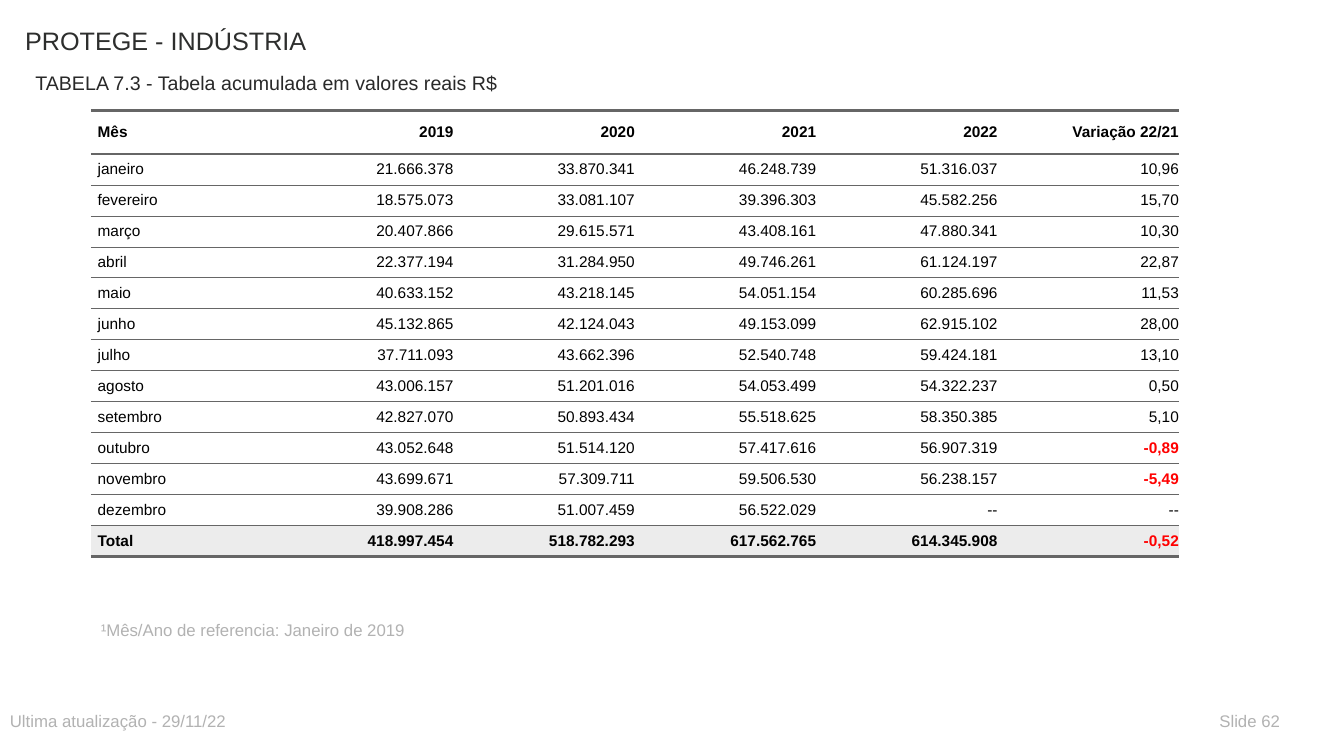
from dataclasses import dataclass

from lxml.etree import SubElement
from pptx import Presentation
from pptx.dml.color import RGBColor
from pptx.enum.text import MSO_ANCHOR as Anchor, MSO_AUTO_SIZE as AutoSize, PP_ALIGN as Align
from pptx.oxml.ns import qn
from pptx.util import Cm, Pt


@dataclass(frozen=True)
class Theme:
    font: str = "Arial"
    heading: str = "2D2E2D"
    caption: str = "292929"
    muted: str = "B2B2B2"
    body: str = "000000"
    negative: str = "FF0000"
    rule: str = "666666"
    background: str = "FFFFFF"
    total_fill: str = "ECECEC"
    heading_size: int = 18
    caption_size: int = 14
    note_size: int = 12
    table_size: int = 11
    thick: float = 2
    thin: float = 0.5


HEADER = ["Mês", "2019", "2020", "2021", "2022", "Variação 22/21"]
MONTHS = [
    ["janeiro", "21.666.378", "33.870.341", "46.248.739", "51.316.037", "10,96"],
    ["fevereiro", "18.575.073", "33.081.107", "39.396.303", "45.582.256", "15,70"],
    ["março", "20.407.866", "29.615.571", "43.408.161", "47.880.341", "10,30"],
    ["abril", "22.377.194", "31.284.950", "49.746.261", "61.124.197", "22,87"],
    ["maio", "40.633.152", "43.218.145", "54.051.154", "60.285.696", "11,53"],
    ["junho", "45.132.865", "42.124.043", "49.153.099", "62.915.102", "28,00"],
    ["julho", "37.711.093", "43.662.396", "52.540.748", "59.424.181", "13,10"],
    ["agosto", "43.006.157", "51.201.016", "54.053.499", "54.322.237", "0,50"],
    ["setembro", "42.827.070", "50.893.434", "55.518.625", "58.350.385", "5,10"],
    ["outubro", "43.052.648", "51.514.120", "57.417.616", "56.907.319", "-0,89"],
    ["novembro", "43.699.671", "57.309.711", "59.506.530", "56.238.157", "-5,49"],
    ["dezembro", "39.908.286", "51.007.459", "56.522.029", "--", "--"],
]
TOTAL = ["Total", "418.997.454", "518.782.293", "617.562.765", "614.345.908", "-0,52"]


def is_negative(value):
    return value.startswith("-") and value != "--"


class SlideBuilder:
    def __init__(self, slide, theme):
        self.slide = slide
        self.theme = theme

    def add_run(self, paragraph, text, size, color, bold=False):
        run = paragraph.add_run()
        run.text = text
        run.font.name = self.theme.font
        run.font.size = Pt(size)
        run.font.bold = bold
        run.font.color.rgb = RGBColor.from_string(color)

    def fill_frame(self, frame, text, size, color):
        frame.word_wrap = True
        frame.auto_size = AutoSize.NONE
        frame.vertical_anchor = Anchor.TOP
        paragraph = frame.paragraphs[0]
        paragraph.alignment = Align.LEFT
        self.add_run(paragraph, text, size, color)

    def title(self, text, left, top, width, height):
        heading = self.slide.shapes.title
        heading.left, heading.top = Cm(left), Cm(top)
        heading.width, heading.height = Cm(width), Cm(height)
        self.fill_frame(heading.text_frame, text, self.theme.heading_size, self.theme.heading)

    def label(self, text, left, top, width, size, color):
        box = self.slide.shapes.add_textbox(Cm(left), Cm(top), Cm(width), Cm(0.76))
        self.fill_frame(box.text_frame, text, size, color)

    def cell_borders(self, cell, top, bottom):
        """Draw horizontal rules of the given point widths and no vertical ones."""
        properties = cell._tc.get_or_add_tcPr()
        for side, width in (("L", 0), ("R", 0), ("T", top), ("B", bottom)):
            line = SubElement(properties, qn(f"a:ln{side}"), w=str(Pt(width)))
            if width:
                fill = SubElement(line, qn("a:solidFill"))
                SubElement(fill, qn("a:srgbClr"), val=self.theme.rule)
            else:
                SubElement(line, qn("a:noFill"))

    def cell(self, cell, text, is_label, bold, fill, rules):
        theme = self.theme
        self.cell_borders(cell, *rules)
        cell.fill.solid()
        cell.fill.fore_color.rgb = RGBColor.from_string(fill)
        cell.vertical_anchor = Anchor.MIDDLE
        cell.margin_left = Cm(0.17 if is_label else 0)
        cell.margin_right = Cm(0)
        cell.margin_top = cell.margin_bottom = Cm(0.17)
        paragraph = cell.text_frame.paragraphs[0]
        paragraph.alignment = Align.LEFT if is_label else Align.RIGHT
        negative = is_negative(text)
        color = theme.negative if negative else theme.body
        self.add_run(paragraph, text, theme.table_size, color, bold or negative)

    def table(self, rows, left, top, column_width, header_height, row_height):
        """Build a ruled table whose first row is the header and last the total."""
        theme = self.theme
        last = len(rows) - 1
        columns = len(rows[0])
        table = self.slide.shapes.add_table(
            len(rows), columns, Cm(left), Cm(top), Cm(column_width * columns),
            Cm(header_height + row_height * last)).table
        table.first_row = table.horz_banding = False
        for column in table.columns:
            column.width = Cm(column_width)
        rules = [theme.thick] * 2 + [theme.thin] * (last - 1) + [theme.thick]
        for r, values in enumerate(rows):
            table.rows[r].height = Cm(row_height if r else header_height)
            fill = theme.total_fill if r == last else theme.background
            for c, value in enumerate(values):
                self.cell(table.cell(r, c), value, c == 0, r in (0, last), fill, rules[r:r + 2])


def main():
    presentation = Presentation()
    presentation.slide_width, presentation.slide_height = Cm(33.87), Cm(19.05)
    theme = Theme()
    title_only = presentation.slide_layouts[5]
    page = SlideBuilder(presentation.slides.add_slide(title_only), theme)

    page.title("PROTEGE - INDÚSTRIA", 0.38, 0.51, 20.32, 1.5)
    page.label("TABELA 7.3 - Tabela acumulada em valores reais R$", 0.64, 1.65, 16.51,
               theme.caption_size, theme.caption)
    page.table([HEADER, *MONTHS, TOTAL], left=2.29, top=2.79,
               column_width=4.57, header_height=1.09, row_height=0.78)
    for text, left, top, width in (
        ("¹Mês/Ano de referencia: Janeiro de 2019", 2.29, 15.49, 16.51),
        ("Ultima atualização - 29/11/22", 0, 17.78, 16.51),
        ("Slide 62", 30.48, 17.78, 2.29),
    ):
        page.label(text, left, top, width, theme.note_size, theme.muted)

    presentation.save("out.pptx")


if __name__ == "__main__":
    main()
